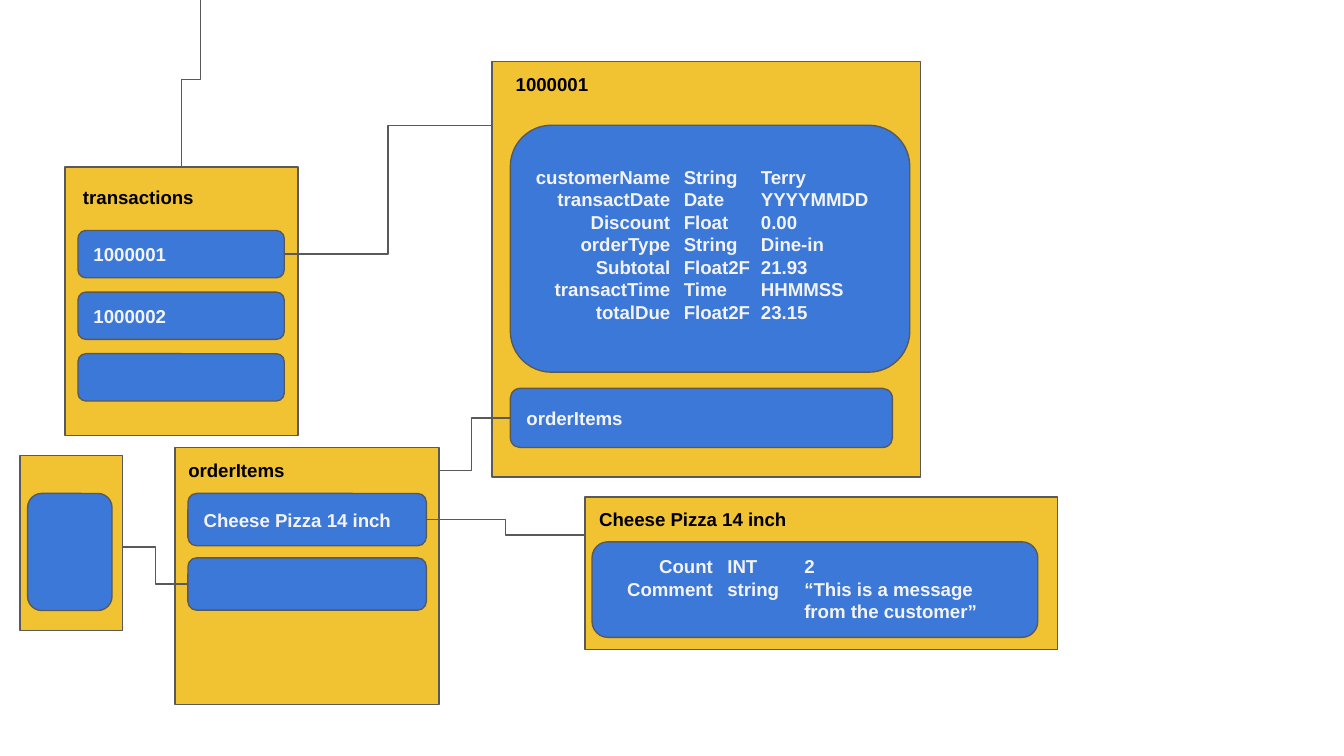
from pptx import Presentation
from pptx.dml.color import RGBColor
from pptx.enum.shapes import MSO_CONNECTOR, MSO_SHAPE
from pptx.enum.text import MSO_ANCHOR, PP_ALIGN
from pptx.oxml.ns import qn
from pptx.util import Pt
from lxml import etree

GOLD = RGBColor(0xF1, 0xC2, 0x32)
BLUE = RGBColor(0x3C, 0x78, 0xD8)
GREY = RGBColor(0x59, 0x59, 0x59)
BLACK = RGBColor(0x00, 0x00, 0x00)
PALE = RGBColor(0xF3, 0xF3, 0xF3)
LEFT, RIGHT = PP_ALIGN.LEFT, PP_ALIGN.RIGHT
MARGIN = 7.2


def write_lines(shape, lines, color, align=LEFT, anchor=MSO_ANCHOR.TOP):
    frame = shape.text_frame
    frame.word_wrap = True
    frame.vertical_anchor = anchor
    frame.margin_left = frame.margin_right = Pt(MARGIN)
    frame.margin_top = frame.margin_bottom = Pt(MARGIN)
    frame.text = "\n".join(lines)
    for paragraph in frame.paragraphs:
        paragraph.alignment = align
        for run in paragraph.runs:
            run.font.name = "Arial"
            run.font.size = Pt(10)
            run.font.bold = True
            run.font.color.rgb = color


def add_box(slide, kind, box, fill):
    shape = slide.shapes.add_shape(kind, *map(Pt, box))
    shape.shadow.inherit = False
    shape.fill.solid()
    shape.fill.fore_color.rgb = fill
    shape.line.color.rgb = GREY
    shape.line.width = Pt(0.75)
    return shape


def add_panel(slide, box):
    return add_box(slide, MSO_SHAPE.RECTANGLE, box, GOLD)


def add_entry(slide, box, label=""):
    shape = add_box(slide, MSO_SHAPE.FLOWCHART_ALTERNATE_PROCESS, box, BLUE)
    if label:
        write_lines(shape, [label], PALE, anchor=MSO_ANCHOR.MIDDLE)


def add_text(slide, box, lines, color, align=LEFT):
    write_lines(slide.shapes.add_textbox(*map(Pt, box)), lines, color, align)


def add_link(slide, start, end):
    link = slide.shapes.add_connector(MSO_CONNECTOR.ELBOW, *map(Pt, start + end))
    link.line.color.rgb = GREY
    link.line.width = Pt(0.75)
    etree.SubElement(link._element.spPr, qn("a:effectLst"))
    return link


def add_downward_link(slide, start, end):
    middle_x, middle_y = (start[0] + end[0]) / 2, (start[1] + end[1]) / 2
    half_run, half_shift = (end[1] - start[1]) / 2, (start[0] - end[0]) / 2
    link = add_link(slide, (middle_x - half_run, middle_y - half_shift),
                    (middle_x + half_run, middle_y + half_shift))
    link._element.spPr.find(qn("a:xfrm")).set("rot", str(90 * 60000))


def add_fields(slide, left, top, height, columns):
    for offset, width, align, lines in columns:
        add_text(slide, (left + offset, top, width, height), lines, PALE, align)


def transactions_panel(slide, left, top, width, height):
    add_panel(slide, (left, top, width, height))
    add_text(slide, (left + 2.6, top + 4.2, 102, 31.7), ["transactions"], BLACK)
    for row, label in enumerate(["1000001", "1000002", ""]):
        add_entry(slide, (left + 7, top + 34 + 33 * row, 110.5, 25.3), label)


def record_panel(slide, left, top, width, height):
    add_panel(slide, (left, top, width, height))
    add_entry(slide, (left + 9.8, top + 34, 214, 132.3))
    add_text(slide, (left + 5.6, top, 132.5, 22.3), ["1000001"], BLACK)
    add_fields(slide, left, top + 48.6, 100, [
        (0, 102.5, RIGHT, ["customerName", "transactDate", "Discount", "orderType",
                           "Subtotal", "transactTime", "totalDue"]),
        (95.7, 54.7, LEFT, ["String", "Date", "Float", "String", "Float2F",
                            "Time", "Float2F"]),
        (137, 77, LEFT, ["Terry", "YYYYMMDD", "0.00", "Dine-in", "21.93",
                         "HHMMSS", "23.15"]),
    ])
    add_entry(slide, (left + 9.8, top + 175, 204.7, 31.7), "orderItems")


def order_items_panel(slide, left, top, width, height):
    add_panel(slide, (left, top, width, height))
    add_text(slide, (left, top, 102, 18), ["orderItems"], BLACK)
    for row, label in enumerate(["Cheese Pizza 14 inch", ""]):
        add_entry(slide, (left + 6.9, top + 24.6 + 34.5 * row, 127.7, 28), label)


def item_panel(slide, left, top, width, height):
    add_panel(slide, (left, top, width, height))
    add_text(slide, (left + 0.5, top, 118, 25), ["Cheese Pizza 14 inch"], BLACK)
    add_entry(slide, (left + 3.8, top + 24, 238.8, 51.2))
    add_fields(slide, left, top + 24, 51, [
        (6.6, 69, RIGHT, ["Count", "Comment"]),
        (69.2, 49, LEFT, ["INT", "string"]),
        (110.4, 127.5, LEFT, ["2", "“This is a message from the customer”"]),
    ])


def blank_item_panel(slide, left, top, width, height):
    add_panel(slide, (left, top, width, height))
    add_entry(slide, (left + 4, top + 20.3, 45.2, 62.7))


def main():
    presentation = Presentation()
    presentation.slide_width, presentation.slide_height = Pt(720), Pt(405)
    slide = presentation.slides.add_slide(presentation.slide_layouts[6])
    add_downward_link(slide, (107.3, -4.3), (97.1, 89.5))
    transactions_panel(slide, 34.8, 89.5, 124.8, 143.7)
    add_link(slide, (152.3, 136.1), (263.6, 67.2))
    record_panel(slide, 263.6, 33.1, 229.5, 222.5)
    add_link(slide, (232, 252), (273.4, 224))
    order_items_panel(slide, 93.8, 239.8, 141.5, 137.6)
    add_link(slide, (228.4, 278.4), (313.4, 286.6))
    item_panel(slide, 313.4, 266.3, 253.2, 81.6)
    add_link(slide, (100.7, 312.9), (65.7, 293.1))
    blank_item_panel(slide, 10.8, 244.1, 54.9, 93.7)
    presentation.save("out.pptx")


if __name__ == "__main__":
    main()
